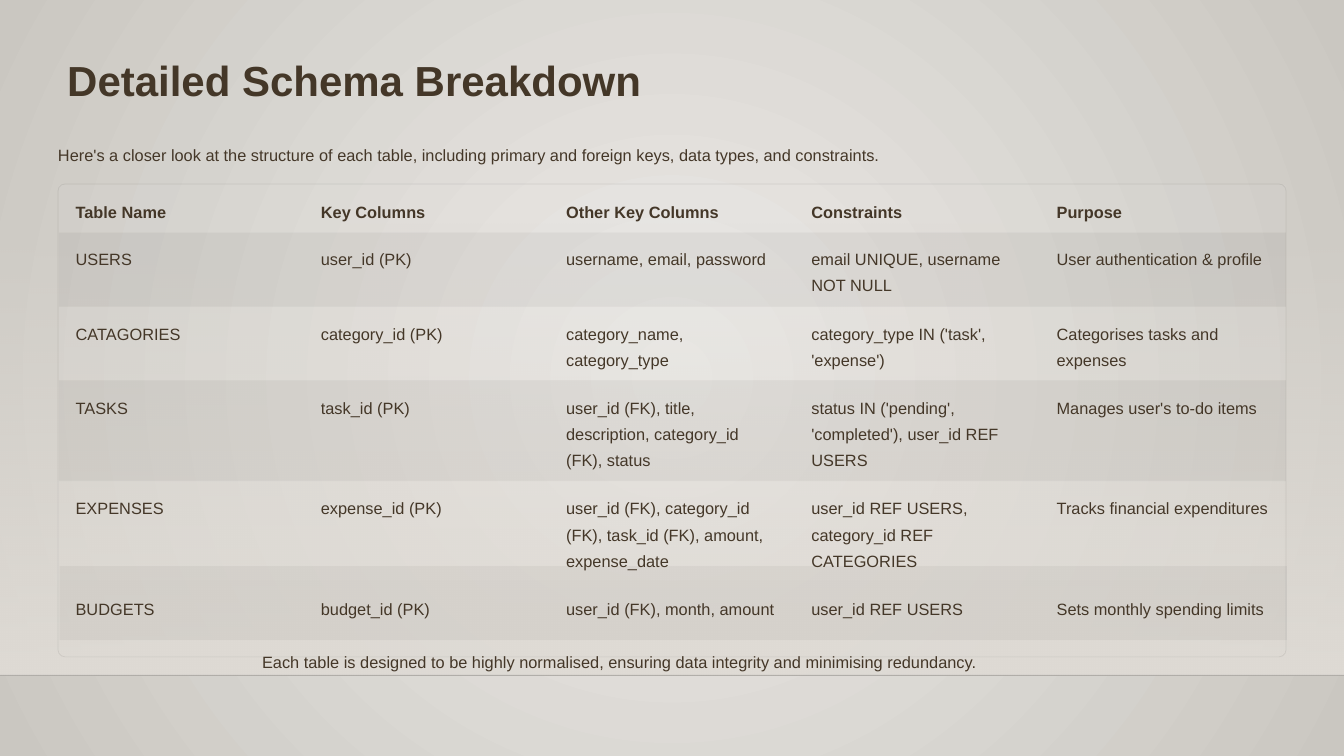
from dataclasses import dataclass

from pptx import Presentation
from pptx.dml.color import RGBColor
from pptx.enum.shapes import MSO_CONNECTOR, MSO_SHAPE
from pptx.enum.text import MSO_ANCHOR, MSO_AUTO_SIZE, PP_ALIGN
from pptx.oxml import parse_xml
from pptx.oxml.ns import nsdecls
from pptx.util import Inches, Pt

TITLE = "Detailed Schema Breakdown"
INTRO = ("Here's a closer look at the structure of each table, including "
         "primary and foreign keys, data types, and constraints.")
CLOSING = ("Each table is designed to be highly normalised, ensuring data "
           "integrity and minimising redundancy.")
SCHEMA = [
    ("Table Name", "Key Columns", "Other Key Columns", "Constraints", "Purpose"),
    ("USERS", "user_id (PK)", "username, email, password",
     "email UNIQUE, username NOT NULL", "User authentication & profile"),
    ("CATAGORIES", "category_id (PK)", "category_name, category_type",
     "category_type IN ('task', 'expense')", "Categorises tasks and expenses"),
    ("TASKS", "task_id (PK)",
     "user_id (FK), title, description, category_id (FK), status",
     "status IN ('pending', 'completed'), user_id REF USERS",
     "Manages user's to-do items"),
    ("EXPENSES", "expense_id (PK)",
     "user_id (FK), category_id (FK), task_id (FK), amount, expense_date",
     "user_id REF USERS, category_id REF CATEGORIES",
     "Tracks financial expenditures"),
    ("BUDGETS", "budget_id (PK)", "user_id (FK), month, amount",
     "user_id REF USERS", "Sets monthly spending limits"),
]
ROW_HEIGHTS = [0.56, 0.89, 0.88, 1.2, 1.2, 0.88]
COLUMN_WIDTH = 2.92
# Left, top and height of the band behind each row; the last two overlap.
BANDS = [(0.7, 2.2, 0.57), (0.7, 2.77, 0.88), (0.7, 3.65, 0.88),
         (0.7, 4.53, 1.2), (0.68, 5.71, 1.2), (0.71, 6.74, 0.88)]
BAND_WIDTH = 14.61


@dataclass(frozen=True)
class Theme:
    font: str = "Arial"
    ink: str = "443728"
    glow: str = "ECEAE7"
    edge: str = "CAC7C1"
    floor: str = "DFDBD5"
    dark: str = "000000"
    light: str = "FFFFFF"
    title_size: int = 36
    body_size: int = 14
    title_leading: float = 44
    body_leading: float = 22.5
    no_grid: str = "{2D5ABB26-0587-4C30-8999-92F81FD0307C}"


THEME = Theme()


def set_all(target, values):
    for name, value in values.items():
        setattr(target, name, value)


def set_opacity(element, percents):
    """Give each RGB colour under element, in order, its opacity in percent."""
    for color, percent in zip(element.xpath(".//a:srgbClr"), percents):
        color.append(parse_xml(
            f'<a:alpha {nsdecls("a")} val="{percent * 1000}"/>'))


def set_stops(fill, colors):
    fill.gradient()
    for stop, color in zip(fill.gradient_stops, colors):
        stop.color.rgb = RGBColor.from_string(color)


def write(frame, text, size=THEME.body_size, leading=THEME.body_leading, bold=False):
    frame.text = text
    paragraph = frame.paragraphs[0]
    set_all(paragraph, {"alignment": PP_ALIGN.LEFT, "line_spacing": Pt(leading)})
    set_all(paragraph.font, {"name": THEME.font, "size": Pt(size), "bold": bold})
    paragraph.font.color.rgb = RGBColor.from_string(THEME.ink)


def add_line_of_text(slide, text, left, top, width):
    box = slide.shapes.add_textbox(*map(Inches, (left, top, width, 0.31)))
    set_all(box.text_frame, {"margin_left": 0, "margin_top": 0, "margin_right": 0,
                             "margin_bottom": 0, "word_wrap": False})
    write(box.text_frame, text)


def add_panel(slide, preset, left, top, width, height):
    panel = slide.shapes.add_shape(preset, *map(Inches, (left, top, width, height)))
    panel.shadow.inherit = False
    return panel


def add_backdrop(slide):
    set_stops(slide.background.fill, (THEME.glow, THEME.edge))
    linear = slide.element.xpath("./p:cSld/p:bg//a:lin")[0]
    linear.getparent().replace(linear, parse_xml(
        f'<a:path {nsdecls("a")} path="circle">'
        '<a:fillToRect l="50000" t="50000" r="50000" b="50000"/></a:path>'))

    floor = add_panel(slide, MSO_SHAPE.RECTANGLE, 0, 2.65, 16, 5.39)
    floor.line.fill.background()
    set_stops(floor.fill, (THEME.floor, THEME.floor))
    floor.fill.gradient_angle = 270
    set_opacity(floor.element, (0, 100))

    horizon = slide.shapes.add_connector(
        MSO_CONNECTOR.STRAIGHT, *map(Inches, (0, 8.04, 16, 8.04)))
    horizon.line.color.rgb = RGBColor.from_string(THEME.dark)
    horizon.line.width = Pt(1)
    set_opacity(horizon.element, [20])
    horizon.element.spPr.append(parse_xml(f'<a:effectLst {nsdecls("a")}/>'))


def add_title(slide):
    heading = slide.shapes.title
    set_all(heading, {"left": Inches(0.7), "top": Inches(0.59),
                      "width": Inches(7.1), "height": Inches(0.69)})
    set_all(heading.text_frame, {"word_wrap": False,
                                 "vertical_anchor": MSO_ANCHOR.TOP,
                                 "auto_size": MSO_AUTO_SIZE.SHAPE_TO_FIT_TEXT})
    write(heading.text_frame, TITLE, THEME.title_size, THEME.title_leading, True)


def add_bands(slide):
    border = add_panel(slide, MSO_SHAPE.ROUNDED_RECTANGLE, 0.69, 2.19, 14.62, 5.63)
    border.adjustments[0] = 0.015
    border.fill.background()
    border.line.color.rgb = RGBColor.from_string(THEME.dark)
    border.line.width = Pt(0.6)
    set_opacity(border.element, [8])

    for index, (left, top, height) in enumerate(BANDS):
        band = add_panel(slide, MSO_SHAPE.RECTANGLE, left, top, BAND_WIDTH, height)
        band.line.fill.background()
        band.fill.solid()
        band.fill.fore_color.rgb = RGBColor.from_string(
            THEME.dark if index % 2 else THEME.light)
        set_opacity(band.element, [4])


def add_schema(slide):
    columns = len(SCHEMA[0])
    frame = slide.shapes.add_table(
        len(SCHEMA), columns, Inches(0.7), Inches(2.2),
        Inches(columns * COLUMN_WIDTH), Inches(sum(ROW_HEIGHTS)))
    frame.element.xpath(".//a:tableStyleId")[0].text = THEME.no_grid
    schema = frame.table
    schema.horz_banding = False
    for column in schema.columns:
        column.width = Inches(COLUMN_WIDTH)
    for index, (row, entries) in enumerate(zip(schema.rows, SCHEMA)):
        row.height = Inches(ROW_HEIGHTS[index])
        for cell, entry in zip(row.cells, entries):
            set_all(cell, {"margin_left": Inches(0.2), "margin_right": Inches(0.19),
                           "margin_top": Inches(0.13), "margin_bottom": 0,
                           "vertical_anchor": MSO_ANCHOR.TOP})
            write(cell.text_frame, entry, bold=index == 0)
            cell.fill.background()


def main():
    deck = Presentation()
    set_all(deck, {"slide_width": Inches(16), "slide_height": Inches(9)})
    slide = deck.slides.add_slide(deck.slide_layouts.get_by_name("Title Only"))
    add_backdrop(slide)
    add_title(slide)
    add_line_of_text(slide, INTRO, 0.69, 1.65, 14.62)
    add_bands(slide)
    add_schema(slide)
    add_line_of_text(slide, CLOSING, 3.12, 7.69, 8.6)
    deck.save("out.pptx")


if __name__ == "__main__":
    main()
